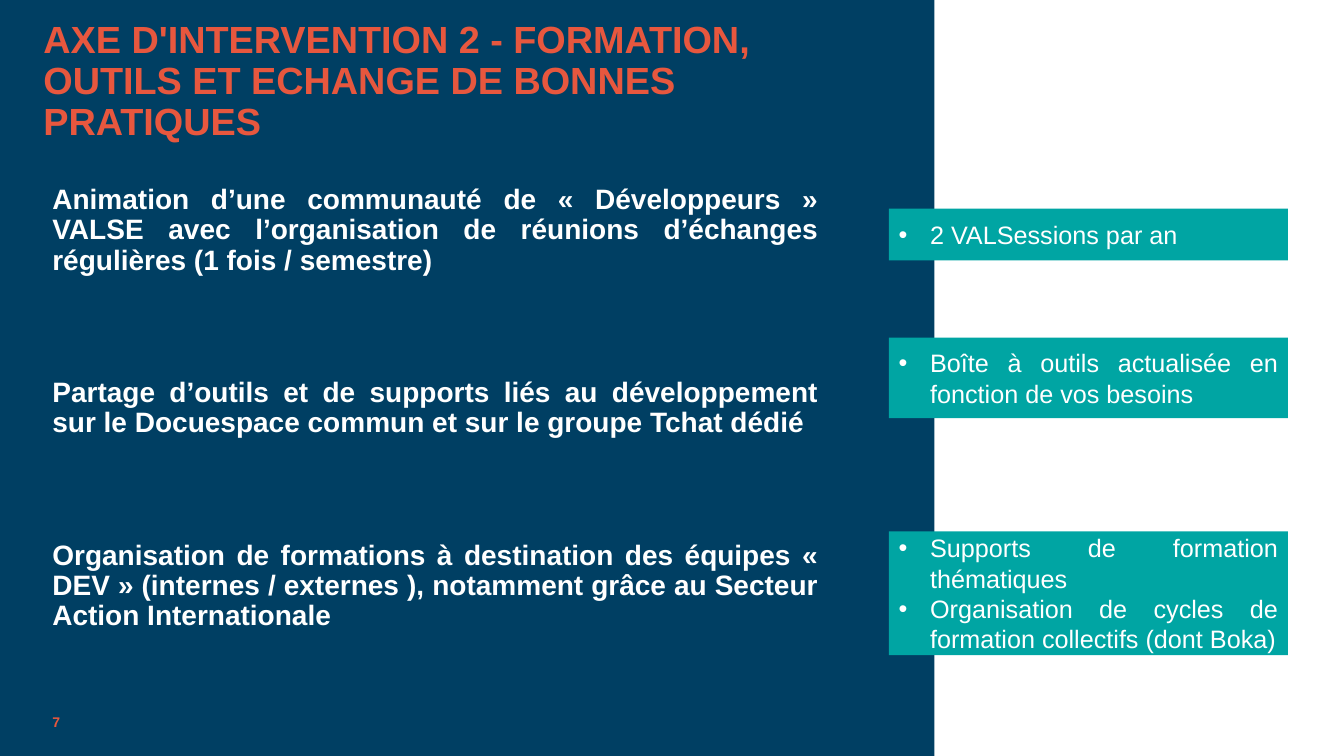
from dataclasses import dataclass

from lxml.etree import SubElement
from pptx import Presentation
from pptx.dml.color import RGBColor
from pptx.enum.shapes import MSO_SHAPE as Preset
from pptx.enum.text import MSO_ANCHOR as Anchor, PP_ALIGN as Align
from pptx.oxml.ns import qn
from pptx.shapes.autoshape import Shape
from pptx.slide import Slide
from pptx.util import Cm, Pt

COLORS = {"navy": "003F63", "teal": "00A5A3", "coral": "E7573E", "white": "FFFFFF"}
FONT = "Arial"
BULLET_INDENT = Cm(0.79)

TITLE = "AXE D'INTERVENTION 2 - FORMATION, OUTILS ET ECHANGE DE BONNES PRATIQUES"
ACTIONS = (
    "Animation d’une communauté de « Développeurs » VALSE avec l’organisation "
    "de réunions d’échanges régulières (1 fois / semestre)",
    "Partage d’outils et de supports liés au développement sur le Docuespace "
    "commun et sur le groupe Tchat dédié",
    "Organisation de formations à destination des équipes « DEV » (internes / "
    "externes ), notamment grâce au Secteur Action Internationale",
)


@dataclass(frozen=True)
class Deliverable:
    top: float
    height: float
    points: tuple[str, ...]
    align: Align = Align.JUSTIFY


DELIVERABLES = (
    Deliverable(5.26, 1.3, ("2 VALSessions par an",), Align.LEFT),
    Deliverable(8.51, 2.03, ("Boîte à outils actualisée en fonction de vos besoins",)),
    Deliverable(13.39, 3.12, (
        "Supports de formation thématiques",
        "Organisation de cycles de formation collectifs (dont Boka)",
    )),
)


def write_text(shape: Shape, *paragraphs: str, size: float, color: str = "white",
               bold: bool = False, align: Align = Align.LEFT,
               anchor: Anchor = Anchor.TOP, line_spacing: float = 1.0,
               gap: float = 0, bulleted: bool = False) -> None:
    """Fill a shape with paragraphs, separated by a gap in points."""
    frame = shape.text_frame
    frame.word_wrap = True
    frame.vertical_anchor = anchor
    for index, text in enumerate(paragraphs):
        paragraph = frame.add_paragraph() if index else frame.paragraphs[0]
        paragraph.alignment = align
        paragraph.line_spacing = line_spacing
        paragraph.space_before = Pt(gap if index else 0)
        run = paragraph.add_run()
        run.text = text
        run.font.name = FONT
        run.font.size = Pt(size)
        run.font.bold = bold
        run.font.color.rgb = RGBColor.from_string(COLORS[color])
        if bulleted:
            properties = paragraph._p.get_or_add_pPr()
            properties.set("marL", str(BULLET_INDENT))
            properties.set("indent", str(-BULLET_INDENT))
            SubElement(properties, qn("a:buFont"), typeface=FONT)
            SubElement(properties, qn("a:buChar"), char="•")


def add_block(slide: Slide, left: float, top: float, width: float, height: float,
              color: str) -> Shape:
    block = slide.shapes.add_shape(
        Preset.RECTANGLE, Cm(left), Cm(top), Cm(width), Cm(height))
    block.shadow.inherit = False
    block.fill.solid()
    block.fill.fore_color.rgb = RGBColor.from_string(COLORS[color])
    block.line.fill.background()
    return block


def add_title(slide: Slide) -> None:
    title = slide.shapes.title
    title.left, title.top, title.width, title.height = (
        Cm(0.84), Cm(1.19), Cm(20.93), Cm(1.78))
    write_text(title, TITLE, size=27, color="coral", bold=True,
               anchor=Anchor.MIDDLE, line_spacing=0.9)


def main() -> None:
    presentation = Presentation()
    presentation.slide_width, presentation.slide_height = Cm(33.87), Cm(19.05)
    slide = presentation.slides.add_slide(presentation.slide_layouts[5])

    panel = add_block(slide, 0, 0, 23.55, 19.05, "navy")
    slide.shapes.title._element.addprevious(panel._element)
    add_title(slide)

    actions = slide.shapes.add_textbox(Cm(1.07), Cm(4.55), Cm(19.81), Cm(13.46))
    write_text(actions, *ACTIONS, size=20, bold=True, align=Align.JUSTIFY,
               line_spacing=0.9, gap=73)

    page_number = slide.shapes.add_textbox(Cm(1.07), Cm(17.5), Cm(7.62), Cm(1.02))
    write_text(page_number, "7", size=10, color="coral", bold=True,
               anchor=Anchor.BOTTOM)

    for item in DELIVERABLES:
        block = add_block(slide, 22.4, item.top, 10.06, item.height, "teal")
        write_text(block, *item.points, size=18, align=item.align,
                   anchor=Anchor.MIDDLE, bulleted=True)

    presentation.save("out.pptx")


if __name__ == "__main__":
    main()
